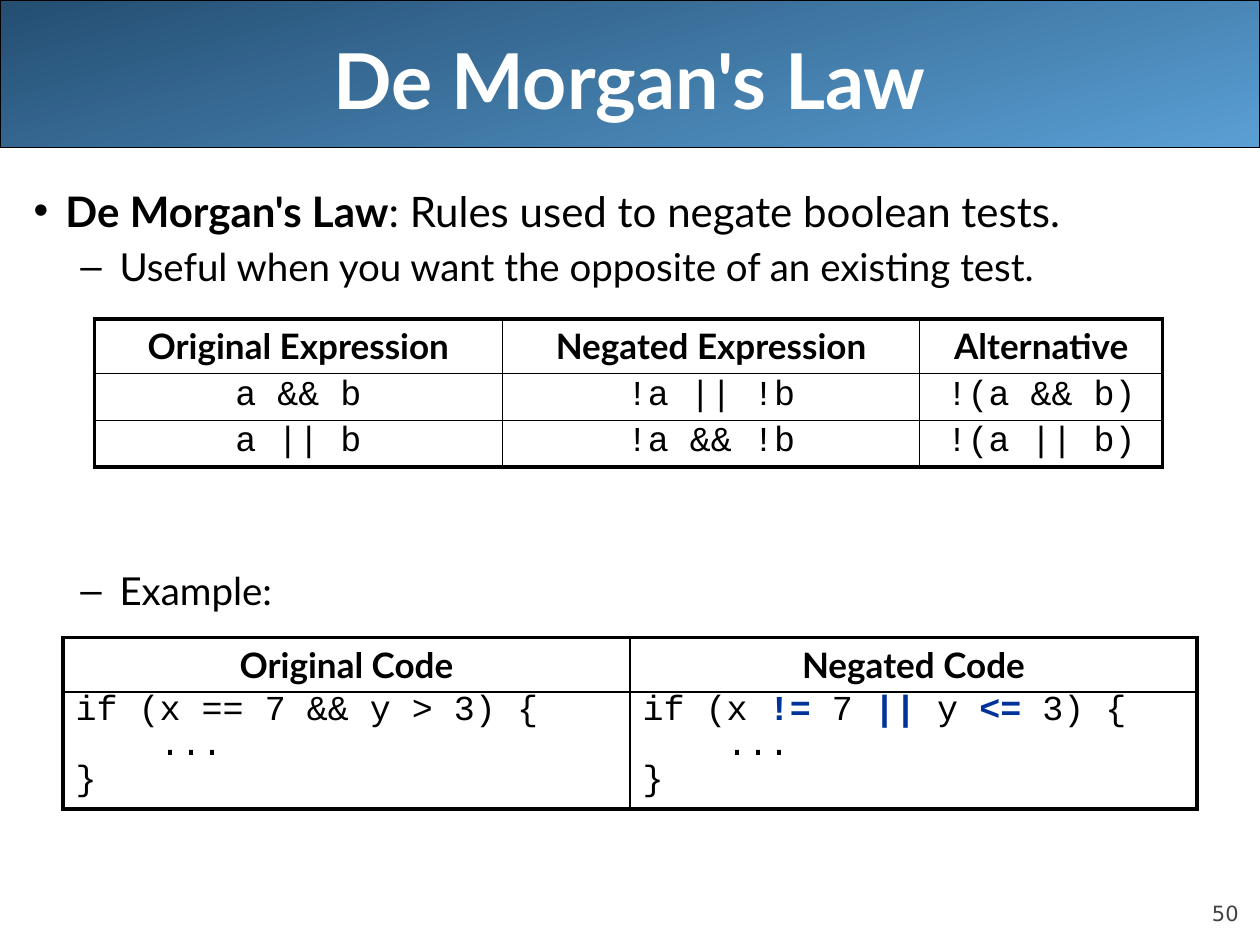
"""Build the De Morgan's Law slide with its rule table and code example."""
from lxml.etree import SubElement
from pptx import Presentation
from pptx.dml.color import RGBColor
from pptx.enum.shapes import MSO_SHAPE
from pptx.enum.text import MSO_ANCHOR, PP_ALIGN
from pptx.oxml import parse_xml
from pptx.oxml.ns import nsdecls, qn
from pptx.util import Cm, Pt

COLORS = {"text": "000000", "title": "FFFFFF", "number": "424242", "change": "003399",
          "band_dark": "244E72", "band_light": "5A9FD4"}
SANS, MONO, NUMBER_FONT = "Lato", "Courier New", "DejaVu Sans"

TITLE = "De Morgan's Law"
PAGE_NUMBER = "50"
# Every second string of a tuple is emphasized.
BULLETS = [
    {"parts": ("", "De Morgan's Law", ": Rules used to negate boolean tests."),
     "size": 24, "mark": "•", "left": 0.64, "hang": 0.64, "before": 0},
    {"parts": ("Useful when you want the opposite of an existing test.",),
     "size": 22, "mark": "–", "left": 1.73, "hang": 0.79, "before": 4.4},
    {"parts": ("Example:",),
     "size": 22, "mark": "–", "left": 1.73, "hang": 0.79, "before": 158.4},
]
RULES = {
    "at": (1.9, 6.43), "columns": (8.23, 8.41, 4.9), "rows": (1.09, 0.94, 0.94),
    "header": ("Original Expression", "Negated Expression", "Alternative"),
    "body": [
        [[("a && b",)], [("!a || !b",)], [("!(a && b)",)]],
        [[("a || b",)], [("!a && !b",)], [("!(a || b)",)]],
    ],
    "align": PP_ALIGN.CENTER, "spacing": 0.8,
}
EXAMPLE = {
    "at": (1.27, 12.85), "columns": (11.43, 11.43), "rows": (1.09, 2.36),
    "header": ("Original Code", "Negated Code"),
    "body": [[
        [("if (x == 7 && y > 3) {",), ("    ...",), ("}",)],
        [("if (x ", "!=", " 7 ", "||", " y ", "<=", " 3) {"), ("    ...",), ("}",)],
    ]],
    "align": PP_ALIGN.LEFT, "spacing": 0.7,
}


def style(font, name, size, color, bold=False):
    font.name, font.size, font.bold = name, Pt(size), bold
    font.color.rgb = RGBColor.from_string(COLORS[color])


def add_parts(paragraph, parts, name, size, emphasis="text"):
    for index, part in enumerate(parts):
        if part:
            run = paragraph.add_run()
            run.text = part
            strong = index % 2 == 1
            style(run.font, name, size, emphasis if strong else "text", strong)


def add_frame(slide, left, top, width, height, anchor):
    frame = slide.shapes.add_textbox(Cm(left), Cm(top), Cm(width), Cm(height)).text_frame
    frame.word_wrap = True
    frame.vertical_anchor = anchor
    return frame


def add_line(slide, text, box, anchor, align, font):
    frame = add_frame(slide, *box, anchor)
    frame.text = text
    frame.paragraphs[0].alignment = align
    style(frame.paragraphs[0].runs[0].font, *font)
    return frame


def add_band(slide):
    band = slide.shapes.add_shape(MSO_SHAPE.RECTANGLE, 0, 0, Cm(25.4), Cm(2.97))
    band.shadow.inherit = False
    band.fill.gradient()
    band.fill.gradient_angle = 285
    for stop, color in zip(band.fill.gradient_stops, ("band_dark", "band_light")):
        stop.color.rgb = RGBColor.from_string(COLORS[color])
    band.line.color.rgb = RGBColor.from_string(COLORS["text"])
    band.line.width = Pt(0.75)


def add_bullets(slide):
    frame = add_frame(slide, 0.43, 3.61, 24.97, 14.4, MSO_ANCHOR.TOP)
    for index, bullet in enumerate(BULLETS):
        paragraph = frame.add_paragraph() if index else frame.paragraphs[0]
        properties = paragraph._p.get_or_add_pPr()
        properties.set("marL", str(Cm(bullet["left"])))
        properties.set("indent", str(-Cm(bullet["hang"])))
        SubElement(properties, qn("a:buFont"), typeface="Arial")
        SubElement(properties, qn("a:buChar"), char=bullet["mark"])
        if index:
            paragraph.space_before = Pt(bullet["before"])
        add_parts(paragraph, bullet["parts"], SANS, bullet["size"])


def set_borders(cell, outer_edges):
    cell.fill.background()
    for position, edge in enumerate("LRTB"):
        width = Pt(2.25 if edge in outer_edges else 1)
        cell._tc.get_or_add_tcPr().insert(position, parse_xml(
            f'<a:ln{edge} {nsdecls("a")} w="{width}"><a:solidFill>'
            f'<a:srgbClr val="{COLORS["text"]}"/></a:solidFill></a:ln{edge}>'))


def add_grid(slide, content):
    columns, rows = content["columns"], content["rows"]
    left, top = content["at"]
    table = slide.shapes.add_table(len(rows), len(columns), Cm(left), Cm(top),
                                   Cm(sum(columns)), Cm(sum(rows))).table
    table.first_row = table.horz_banding = False
    for column, width in zip(table.columns, columns):
        column.width = Cm(width)
    for row, height in zip(table.rows, rows):
        row.height = Cm(height)

    header = [[("", label)] for label in content["header"]]
    for r, row in enumerate([header] + content["body"]):
        for c, lines in enumerate(row):
            cell = table.cell(r, c)
            for index, parts in enumerate(lines):
                frame = cell.text_frame
                paragraph = frame.add_paragraph() if index else frame.paragraphs[0]
                paragraph.alignment = content["align"] if r else PP_ALIGN.CENTER
                if r:
                    paragraph.line_spacing = content["spacing"]
                if index:
                    paragraph.space_before = Pt(4)
                add_parts(paragraph, parts, MONO if r else SANS, 20,
                          "change" if r else "text")
            on_edge = {"L": c == 0, "R": c == len(columns) - 1,
                       "T": r == 0, "B": r == len(rows) - 1}
            set_borders(cell, [edge for edge, outer in on_edge.items() if outer])


def main():
    deck = Presentation()
    deck.slide_width, deck.slide_height = Cm(25.4), Cm(19.05)
    slide = deck.slides.add_slide(deck.slide_layouts[6])
    add_band(slide)
    number = add_line(slide, PAGE_NUMBER, (22.86, 17.65, 2.11, 1.02), MSO_ANCHOR.BOTTOM,
                      PP_ALIGN.RIGHT, (NUMBER_FONT, 12, "number"))
    number.margin_left = number.margin_right = number.margin_top = number.margin_bottom = 0
    add_line(slide, TITLE, (1.27, 0, 22.86, 3.18), MSO_ANCHOR.MIDDLE,
             PP_ALIGN.CENTER, (SANS, 44, "title", True))
    add_bullets(slide)
    for content in (RULES, EXAMPLE):
        add_grid(slide, content)
    deck.save("out.pptx")


if __name__ == "__main__":
    main()
